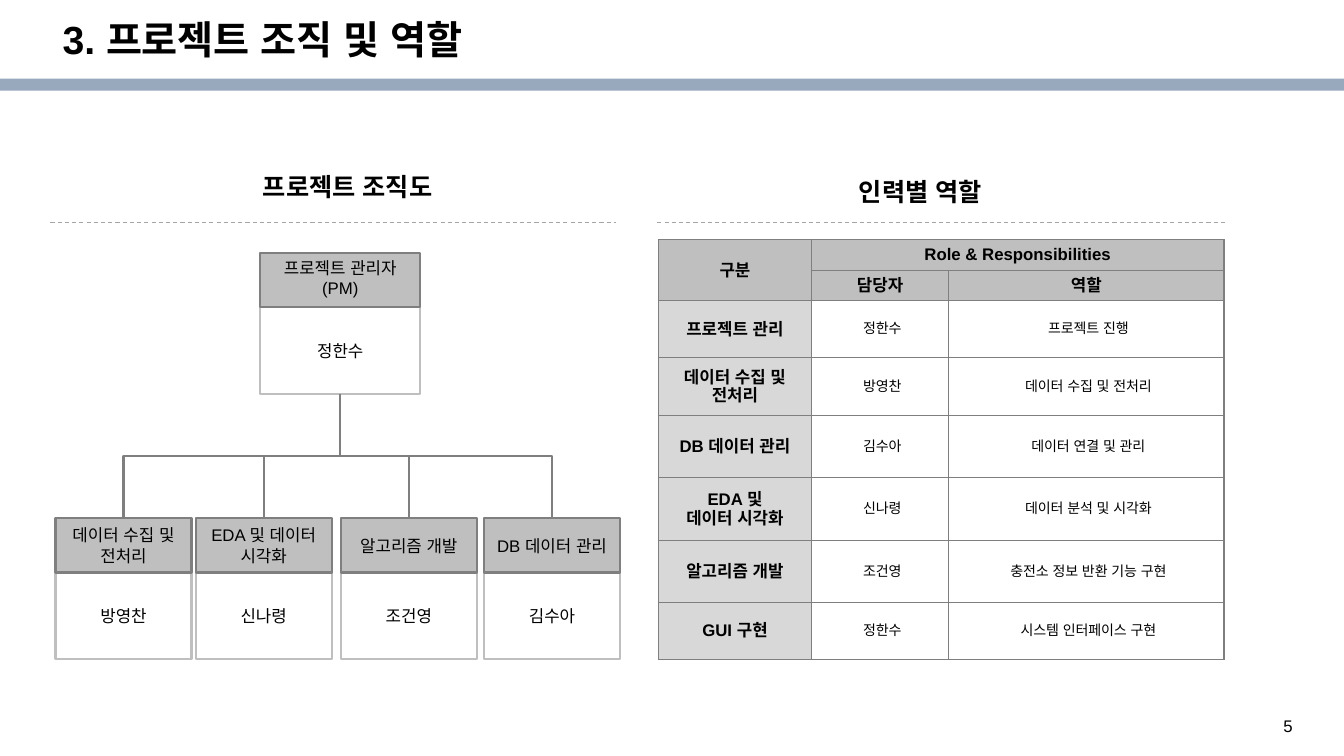
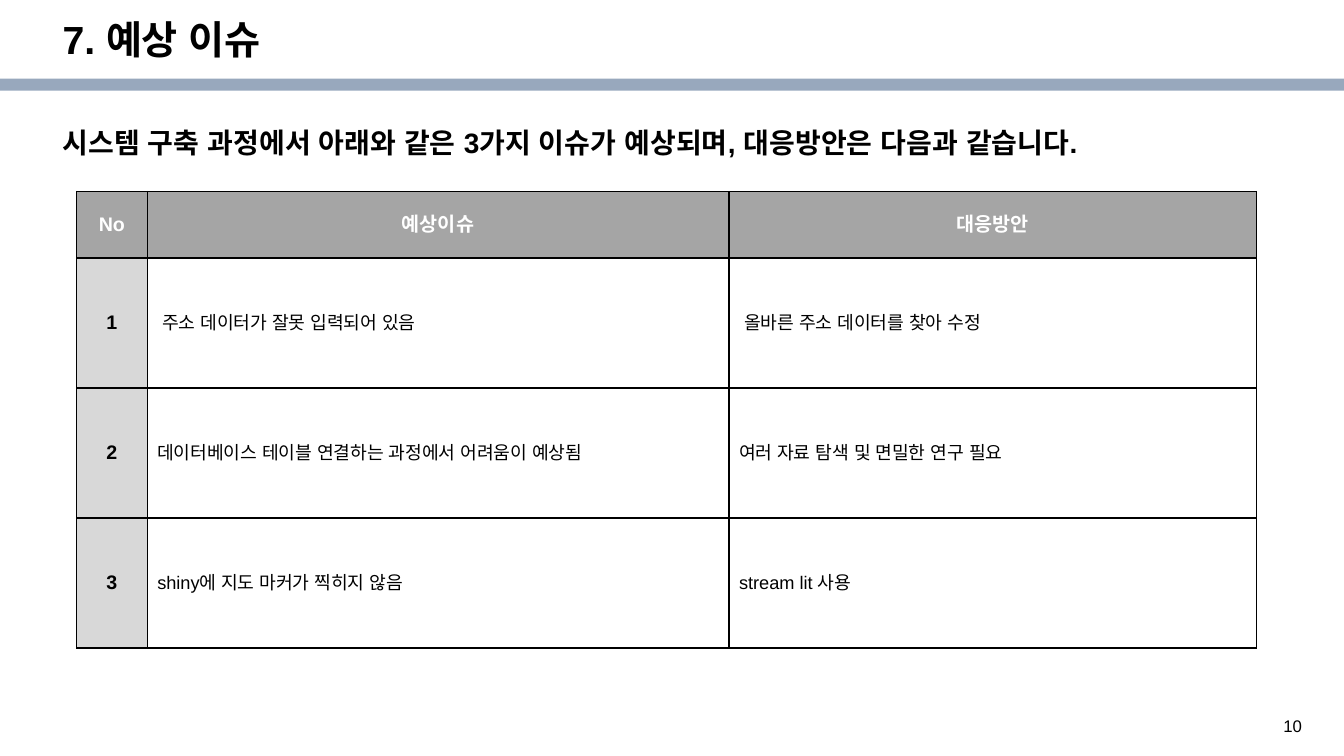
from dataclasses import dataclass

from lxml import etree
from pptx import Presentation
from pptx.dml.color import RGBColor
from pptx.enum import dml, shapes, text
from pptx.oxml.ns import qn
from pptx.util import Inches, Pt


@dataclass(frozen=True)
class Theme:
    font: str = "Arial"
    black: str = "000000"
    white: str = "FFFFFF"
    band: str = "98A8BD"
    dark: str = "7F7F7F"
    mid: str = "A5A5A5"
    head: str = "BFBFBF"
    light: str = "D8D8D8"
    title: int = 28
    lead: int = 20
    heading: int = 18
    label: int = 14
    body: int = 13
    text: int = 12
    small: int = 10


T = Theme()
CENTER = text.PP_ALIGN.CENTER
TOP, MIDDLE = text.MSO_ANCHOR.TOP, text.MSO_ANCHOR.MIDDLE
INSETS = (0.1, 0.05, 0.1, 0.05)
LABEL_INSETS = (0.05,) * 4

# Content
TEAM_TITLE, TEAM_PAGE = "3. 프로젝트 조직 및 역할", "5"
SECTIONS = [  # heading, its left and top, rule from and to
    ("프로젝트 조직도", 2.51, 1.65, 0.5, 6.11),
    ("인력별 역할", 8.42, 1.7, 6.52, 12.15),
]
MANAGER = ("프로젝트 관리자(PM)", "정한수")
MEMBERS = [  # left, role, name
    (0.55, "데이터 수집 및 전처리", "방영찬"),
    (1.94, "EDA 및 데이터 시각화", "신나령"),
    (3.38, "알고리즘 개발", "조건영"),
    (4.8, "DB 데이터 관리", "김수아"),
]
ROLES = [
    ("구분", "Role & Responsibilities", ""),
    ("", "담당자", "역할"),
    ("프로젝트 관리", "정한수", "프로젝트 진행"),
    ("데이터 수집 및 전처리", "방영찬", "데이터 수집 및 전처리"),
    ("DB 데이터 관리", "김수아", "데이터 연결 및 관리"),
    ("EDA 및\n데이터 시각화", "신나령", "데이터 분석 및 시각화"),
    ("알고리즘 개발", "조건영", "충전소 정보 반환 기능 구현"),
    ("GUI 구현", "정한수", "시스템 인터페이스 구현"),
]
ISSUE_TITLE, ISSUE_PAGE = "7. 예상 이슈", "10"
ISSUE_LEAD = "시스템 구축 과정에서 아래와 같은 3가지 이슈가 예상되며, 대응방안은 다음과 같습니다."
ISSUES = [
    ("No", "예상이슈", "대응방안"),
    ("1", "주소 데이터가 잘못 입력되어 있음", "올바른 주소 데이터를 찾아 수정"),
    ("2", "데이터베이스 테이블 연결하는 과정에서 어려움이 예상됨", "여러 자료 탐색 및 면밀한 연구 필요"),
    ("3", "shiny에 지도 마커가 찍히지 않음", "stream lit 사용"),
]


def rgb(color):
    return RGBColor.from_string(color)


def write(holder, content, size=T.text, bold=False, color=T.black, align=None,
          anchor=TOP, insets=INSETS, spacing=None):
    """Fill a text frame or a table cell, one paragraph per line."""
    sides = ("margin_left", "margin_top", "margin_right", "margin_bottom")
    for side, inset in zip(sides, insets):
        setattr(holder, side, Inches(inset))
    holder.vertical_anchor = anchor
    tf = getattr(holder, "text_frame", holder)
    for i, line in enumerate(content.split("\n")):
        p = tf.add_paragraph() if i else tf.paragraphs[0]
        p.alignment, p.line_spacing = align, spacing
        p.space_before = Pt(0)
        r = p.add_run()
        r.text = line
        r.font.size, r.font.bold, r.font.name = Pt(size), bold, T.font
        r.font.color.rgb = rgb(color)
        etree.SubElement(r.font._element, qn("a:ea"), typeface=T.font)


def place(sp, left, top, width, height):
    sp.left, sp.top = Inches(left), Inches(top)
    sp.width, sp.height = Inches(width), Inches(height)


def add_text(slide, content, left, top, width, height, **fmt):
    sp = slide.shapes.add_textbox(*map(Inches, (left, top, width, height)))
    sp.text_frame.word_wrap = True
    write(sp.text_frame, content, **fmt)


def add_box(slide, left, top, width, height, fill, line=None):
    sp = slide.shapes.add_shape(shapes.MSO_SHAPE.RECTANGLE,
                                *map(Inches, (left, top, width, height)))
    sp.shadow.inherit = False
    sp.fill.solid()
    sp.fill.fore_color.rgb = rgb(fill)
    if line:
        sp.line.color.rgb = rgb(line)
        sp.line.width = Pt(1.5)
    else:
        sp.line.fill.background()
    return sp


def style_line(connector, color, width):
    connector.line.color.rgb = rgb(color)
    connector.line.width = Pt(width)
    etree.SubElement(connector._element.spPr, qn("a:effectLst"))


def add_rule(slide, start, end, y):
    rule = slide.shapes.add_connector(shapes.MSO_CONNECTOR.STRAIGHT,
                                      *map(Inches, (start, y, end, y)))
    rule.line.dash_style = dml.MSO_LINE.DASH
    style_line(rule, T.mid, 0.75)


def add_branch(slide, parent, child):
    """Elbow that leaves the parent's bottom and enters the child's top."""
    branch = slide.shapes.add_connector(shapes.MSO_CONNECTOR.ELBOW, 0, 0, 0, 0)
    branch.begin_connect(parent, 2)
    branch.end_connect(child, 0)
    x1, y1 = parent.left + parent.width // 2, parent.top + parent.height
    x2, y2 = child.left + child.width // 2, child.top
    drop, shift = y2 - y1, abs(x2 - x1)
    # The elbow runs sideways by nature, so it is turned about its centre.
    branch.left, branch.top = (x1 + x2 - drop) // 2, (y1 + y2 - shift) // 2
    branch.width, branch.height = drop, shift
    rightward = x2 > x1
    xfrm = branch._element.spPr.find(qn("a:xfrm"))
    xfrm.set("rot", str((270 if rightward else 90) * 60000))
    xfrm.set("flipH", str(int(rightward)))
    xfrm.set("flipV", "0")
    style_line(branch, T.dark, 1.5)


def add_card(slide, left, top, width, role, name, anchor=MIDDLE):
    """Role box above a name box; returns both."""
    role_h, name_h = 0.54, 0.86
    name_box = add_box(slide, left, top + role_h, width, name_h, T.white, T.head)
    role_box = add_box(slide, left, top, width, role_h, T.head, T.dark)
    write(name_box.text_frame, name, align=CENTER, anchor=MIDDLE)
    write(role_box.text_frame, role, align=CENTER, anchor=anchor)
    return role_box, name_box


def add_grid(slide, rows, left, top, widths, heights, border, style):
    """Table whose style(row, column) gives a cell's fill and text format."""
    table = slide.shapes.add_table(
        len(rows), len(widths),
        *map(Inches, (left, top, sum(widths), sum(heights)))).table
    table.first_row = table.horz_banding = False
    for column, width in zip(table.columns, widths):
        column.width = Inches(width)
    for row, height in zip(table.rows, heights):
        row.height = Inches(height)
    for i, row in enumerate(rows):
        for j, content in enumerate(row):
            cell = table.cell(i, j)
            tcPr = cell._tc.get_or_add_tcPr()
            for edge in ("a:lnL", "a:lnR", "a:lnT", "a:lnB"):
                ln = etree.SubElement(tcPr, qn(edge), w=str(Pt(1)))
                paint = etree.SubElement(ln, qn("a:solidFill"))
                etree.SubElement(paint, qn("a:srgbClr"), val=border)
            fill, fmt = style(i, j)
            if fill:
                cell.fill.solid()
                cell.fill.fore_color.rgb = rgb(fill)
            else:
                cell.fill.background()
            if content:
                write(cell, content, anchor=MIDDLE, **fmt)
    return table


def role_style(i, j):
    if i < 2:
        return T.head, dict(bold=True, align=CENTER)
    if j == 0:
        return T.light, dict(bold=True, align=CENTER, insets=LABEL_INSETS)
    return None, dict(size=T.small, align=CENTER, insets=(0.14, 0.04, 0.1, 0.04))


def issue_style(i, j):
    if i == 0:
        return T.mid, dict(size=T.label, bold=True, color=T.white, align=CENTER)
    if j == 0:
        return T.light, dict(size=T.label, bold=True, align=CENTER, insets=LABEL_INSETS)
    indent = 0.15 if i == 1 else 0.1
    return None, dict(size=T.body, insets=(indent, 0.04, 0.1, 0.04))


def add_slide(prs, layout, title, page):
    slide = prs.slides.add_slide(prs.slide_layouts[layout])
    sp = slide.shapes.title
    place(sp, 0.52, 0.15, 11.5, 0.53)
    sp.text_frame.auto_size = text.MSO_AUTO_SIZE.NONE
    write(sp.text_frame, title, size=T.title, bold=True,
          align=text.PP_ALIGN.LEFT, spacing=0.9)
    add_text(slide, page, 12.63, 7.05, 0.52, 0.27)
    return slide


def add_master_band(prs, slide):
    band = add_box(slide, 0, 0.78, 13.33, 0.12, T.band)
    prs.slide_master.shapes.element.insert(2, band._element)


def fill_team(slide):
    for heading, left, top, start, end in SECTIONS:
        add_text(slide, heading, left, top, 2.8, 0.4, size=T.heading, bold=True)
        add_rule(slide, start, end, 2.21)
    table = add_grid(slide, ROLES, 6.53, 2.38, (1.52, 1.36, 2.73),
                     (0.3, 0.3, 0.57, 0.57, 0.62, 0.62, 0.62, 0.56),
                     T.dark, role_style)
    table.cell(0, 0).merge(table.cell(1, 0))
    table.cell(0, 1).merge(table.cell(0, 2))
    _, manager = add_card(slide, 2.58, 2.51, 1.59, *MANAGER, anchor=TOP)
    for left, role, name in MEMBERS:
        role_box, _ = add_card(slide, left, 5.14, 1.35, role, name)
        add_branch(slide, manager, role_box)


def fill_issues(slide):
    lead = slide.placeholders[1]
    place(lead, 0.52, 1.23, 12.01, 0.71)
    lead.text_frame.auto_size = text.MSO_AUTO_SIZE.NONE
    write(lead.text_frame, ISSUE_LEAD, size=T.lead, bold=True, spacing=0.9)
    pPr = lead.text_frame.paragraphs[0]._p.get_or_add_pPr()
    pPr.set("marL", "0")
    pPr.set("indent", "0")
    etree.SubElement(pPr, qn("a:buNone"))
    add_grid(slide, ISSUES, 0.76, 1.9, (0.7, 5.77, 5.23),
             (0.66, 1.29, 1.29, 1.29), T.black, issue_style)


def main():
    prs = Presentation()
    prs.slide_width, prs.slide_height = Inches(13.33), Inches(7.5)
    team = add_slide(prs, 5, TEAM_TITLE, TEAM_PAGE)
    add_master_band(prs, team)
    fill_team(team)
    fill_issues(add_slide(prs, 1, ISSUE_TITLE, ISSUE_PAGE))
    prs.save("out.pptx")


if __name__ == "__main__":
    main()
